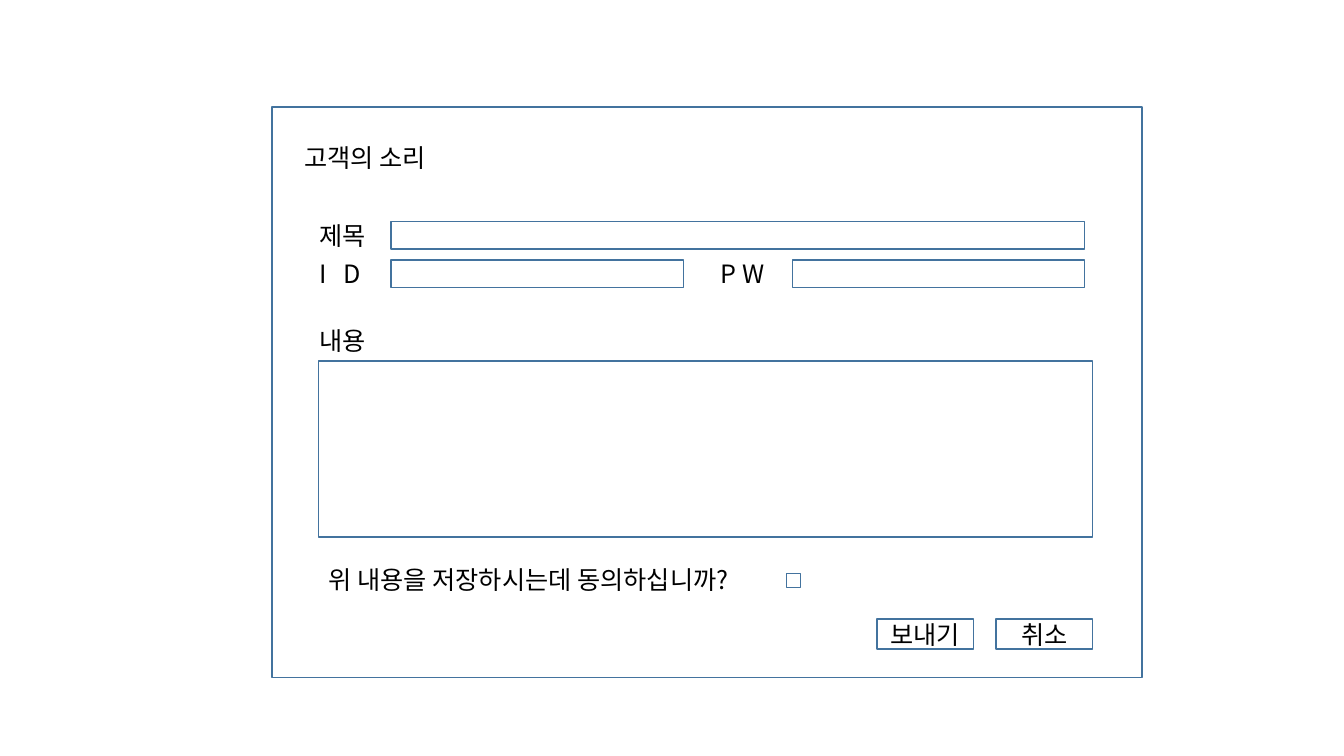
from lxml import etree
from pptx import Presentation
from pptx.dml.color import RGBColor
from pptx.enum.shapes import MSO_SHAPE
from pptx.enum.text import MSO_ANCHOR, MSO_AUTO_SIZE, PP_ALIGN
from pptx.oxml.ns import qn
from pptx.util import Inches, Pt

RECTANGLE = MSO_SHAPE.RECTANGLE
MIDDLE = MSO_ANCHOR.MIDDLE
GROW = MSO_AUTO_SIZE.SHAPE_TO_FIT_TEXT
LEFT, CENTER = PP_ALIGN.LEFT, PP_ALIGN.CENTER

WIDTH, HEIGHT = Inches(13.33), Inches(7.5)
FONT = "Noto Sans CJK KR"
INK, PAPER, BORDER = "000000", "FFFFFF", "43739E"

LABEL_LEFT, FIELD_LEFT = 23.03, 29.1
SECOND_SHIFT = 29.85
FIELD_TOP, FIELD_STEP, FIELD_HEIGHT = 29.33, 5.07, 3.6
FIELD_WIDTH = 21.75
LABEL_RISE, LABEL_WIDTH, LABEL_HEIGHT = 0.87, 6.75, 5.33
BODY_LEFT, BODY_WIDTH = 23.7, 57.6
BUTTON_WIDTH, BUTTON_STEP = 7.2, 8.85


def color(value):
    return RGBColor.from_string(value)


def area(left, top, width, height):
    return [round(share * size / 100) for share, size in
            zip((left, top, width, height), (WIDTH, HEIGHT, WIDTH, HEIGHT))]


def write(frame, text, *, size=18, ink=INK, align=LEFT, tracking=0):
    para = frame.paragraphs[0]
    para.alignment = align
    span = para.add_run()
    span.text = text
    span.font.size = Pt(size)
    span.font.name = FONT
    span.font.color.rgb = color(ink)
    properties = span.font._element
    etree.SubElement(properties, qn("a:ea")).set("typeface", FONT)
    if tracking:
        properties.set("spc", str(tracking * 100))


def add_box(page, left, top, width, height):
    box = page.shapes.add_shape(RECTANGLE, *area(left, top, width, height))
    box.shadow.inherit = False
    box.fill.solid()
    box.fill.fore_color.rgb = color(PAPER)
    box.line.color.rgb = color(BORDER)
    box.line.width = Pt(1)
    return box


def add_label(page, text, left, top, width=LABEL_WIDTH, **style):
    box = page.shapes.add_textbox(*area(left, top, width, LABEL_HEIGHT))
    frame = box.text_frame
    frame.word_wrap = True
    frame.auto_size = GROW
    write(frame, text, **style)


def add_field(page, text, row, shift=0, width=FIELD_WIDTH, **style):
    top = FIELD_TOP + row * FIELD_STEP
    add_label(page, text, LABEL_LEFT + shift, top - LABEL_RISE, **style)
    add_box(page, FIELD_LEFT + shift, top, width, FIELD_HEIGHT)


def add_button(page, text, column):
    left = 65.25 + column * BUTTON_STEP
    frame = add_box(page, left, 81.87, BUTTON_WIDTH, 4).text_frame
    frame.vertical_anchor = MIDDLE
    write(frame, text, align=CENTER)


def main():
    deck = Presentation()
    deck.slide_width, deck.slide_height = WIDTH, HEIGHT
    page = deck.slides.add_slide(deck.slide_layouts[6])

    add_box(page, 20.25, 14.13, 64.73, 75.47)
    add_label(page, "고객의 소리", 21.9, 18.13, width=16.73)

    add_field(page, "제목", 0, width=SECOND_SHIFT + FIELD_WIDTH)
    add_field(page, "I D", 1, tracking=4)
    add_field(page, "P W", 1, shift=SECOND_SHIFT)

    add_label(page, "내용", LABEL_LEFT, 42.4)
    add_box(page, BODY_LEFT, 47.73, BODY_WIDTH, 23.33)

    add_label(page, "위 내용을 저장하시는데 동의하십니까?", BODY_LEFT, 74, width=35.25)
    add_box(page, 58.5, 75.87, 1.05, 1.87)

    for column, text in enumerate(("보내기", "취소")):
        add_button(page, text, column)

    deck.save("out.pptx")


if __name__ == "__main__":
    main()
